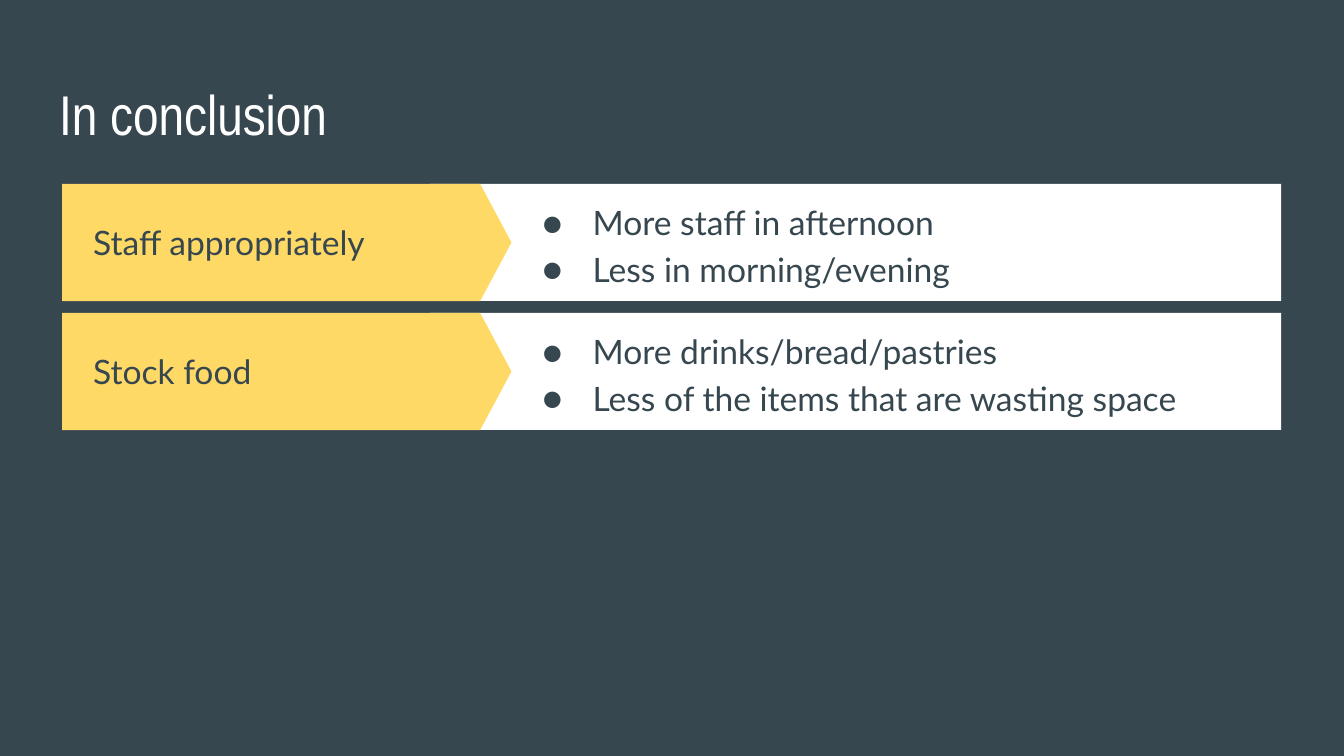
from lxml import etree
from pptx import Presentation
from pptx.dml.color import RGBColor
from pptx.enum.shapes import MSO_SHAPE
from pptx.enum.text import MSO_ANCHOR, MSO_AUTO_SIZE, PP_ALIGN
from pptx.oxml.ns import qn
from pptx.util import Pt

RECT, PENTAGON = MSO_SHAPE.RECTANGLE, MSO_SHAPE.PENTAGON
TOP, MIDDLE = MSO_ANCHOR.TOP, MSO_ANCHOR.MIDDLE
LEFT = PP_ALIGN.LEFT
NO_FIT = MSO_AUTO_SIZE.NONE

SLATE = RGBColor(0x37, 0x47, 0x4F)
YELLOW = RGBColor(0xFF, 0xD9, 0x66)
WHITE = RGBColor(0xFF, 0xFF, 0xFF)

COMPARISON_LAYOUT = 4  # a title and four text placeholders
INSET = 7.2
ROW_HEIGHT, ROW_PITCH = 62.7, 69.1

ROWS = [
    ("Staff appropriately",
     ["More staff in afternoon", "Less in morning/evening"]),
    ("Stock food",
     ["More drinks/bread/pastries", "Less of the items that are wasting space"]),
]


def set_bullet(p, bulleted):
    pPr = p._p.get_or_add_pPr()
    pPr.set("marL", str(Pt(36 if bulleted else 0)))
    pPr.set("indent", str(Pt(-27 if bulleted else 0)))
    if not bulleted:
        etree.SubElement(pPr, qn("a:buNone"))
        return
    color = etree.SubElement(pPr, qn("a:buClr"))
    etree.SubElement(color, qn("a:srgbClr"), val=str(SLATE))
    etree.SubElement(pPr, qn("a:buFont"), typeface="Lato")
    etree.SubElement(pPr, qn("a:buChar"), char="●")


def write(sp, lines, box, size=18, font="Lato", color=SLATE, anchor=MIDDLE,
          spacing=1.0, bulleted=False):
    """Place a placeholder in box and fill it with one paragraph per line."""
    sp.left, sp.top, sp.width, sp.height = (Pt(v) for v in box)
    tf = sp.text_frame
    tf.word_wrap = True
    tf.auto_size = NO_FIT
    tf.vertical_anchor = anchor
    tf.margin_left = tf.margin_right = Pt(INSET)
    tf.margin_top = tf.margin_bottom = Pt(INSET)
    for i, line in enumerate(lines):
        p = tf.add_paragraph() if i else tf.paragraphs[0]
        p.alignment = LEFT
        p.line_spacing = spacing
        p.space_before = p.space_after = Pt(0)
        set_bullet(p, bulleted)
        r = p.add_run()
        r.text = line
        r.font.size, r.font.name, r.font.bold = Pt(size), font, False
        r.font.color.rgb = color


def add_panel(shapes, kind, box, color):
    sp = shapes.add_shape(kind, *(Pt(v) for v in box))
    sp.shadow.inherit = False
    sp.fill.solid()
    sp.fill.fore_color.rgb = color
    sp.line.fill.background()
    return sp


def add_row(s, box, label, points, label_ph, points_ph):
    """A yellow arrow with a label, on a white bar with bullet points."""
    x, y, w, h = box
    # Bar and arrow
    grp = s.shapes.add_group_shape()
    add_panel(grp.shapes, RECT, (x + 197, y, w - 197, h), WHITE)
    arrow = add_panel(grp.shapes, PENTAGON, (x, y, 240.7, h), YELLOW)
    arrow.adjustments[0] = 0.267
    # Text goes in front of the panels
    for ph in (label_ph, points_ph):
        s.shapes.element.append(ph.element)
    write(label_ph, [label], (x + 9.4, y, 190.8, h))
    write(points_ph, points, (x + 241, y, 402.5, h), spacing=1.15, bulleted=True)


def main():
    prs = Presentation()
    prs.slide_width, prs.slide_height = Pt(720), Pt(405)
    s = prs.slides.add_slide(prs.slide_layouts[COMPARISON_LAYOUT])
    s.background.fill.solid()
    s.background.fill.fore_color.rgb = SLATE

    # Title
    title, *bodies = list(s.placeholders)[:5]
    write(title, ["In conclusion"], (24.5, 35.3, 671, 45.4), size=30,
          font="Arial Narrow", color=WHITE, anchor=TOP)

    # Rows, each using two of the text placeholders
    for i, (label, points) in enumerate(ROWS):
        box = (33.3, 98.6 + i * ROW_PITCH, 653, ROW_HEIGHT)
        add_row(s, box, label, points, *bodies[2 * i:2 * i + 2])

    prs.save("out.pptx")


if __name__ == "__main__":
    main()
